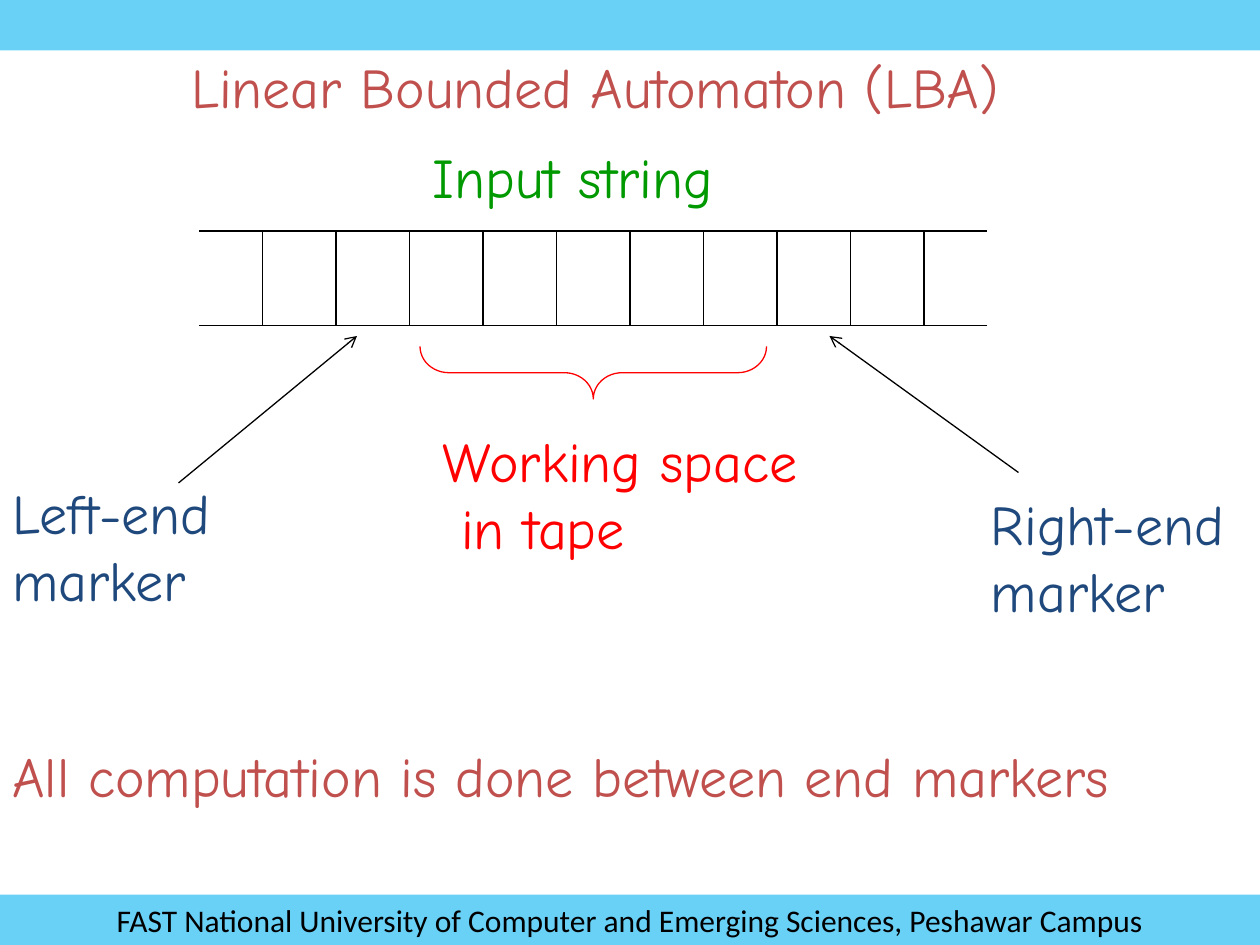
"""Build the slide that explains the tape of a linear bounded automaton."""
from dataclasses import dataclass

from lxml import etree
from pptx import Presentation
from pptx.dml.color import RGBColor
from pptx.enum.shapes import MSO_CONNECTOR, MSO_SHAPE
from pptx.enum.text import MSO_ANCHOR, PP_ALIGN
from pptx.oxml.ns import qn
from pptx.util import Inches, Length, Pt

STRAIGHT = MSO_CONNECTOR.STRAIGHT
RECTANGLE = MSO_SHAPE.RECTANGLE
RIGHT_BRACE = MSO_SHAPE.RIGHT_BRACE
TOP, MIDDLE = MSO_ANCHOR.TOP, MSO_ANCHOR.MIDDLE
LEFT, CENTER = PP_ALIGN.LEFT, PP_ALIGN.CENTER

BLACK = RGBColor(0x00, 0x00, 0x00)
SKY = RGBColor(0x00, 0xB0, 0xF0)
NAVY = RGBColor(0x1F, 0x49, 0x7D)
GREEN = RGBColor(0x00, 0x99, 0x00)
RED = RGBColor(0xFF, 0x00, 0x00)
BRICK = RGBColor(0xC0, 0x50, 0x4D)

COLUMNS, ROWS = 120, 90
BAND_ROWS = 4.8
TAPE_LEFT, TAPE_RIGHT, TAPE_TOP, TAPE_BOTTOM = 19, 94, 22, 31
FIRST_DIVIDER, CELL_COLUMNS, DIVIDERS = 25, 7, 10
THIN = Pt(0.75)


@dataclass(frozen=True)
class Area:
    """A rectangle in grid columns and rows."""

    column: float
    row: float
    columns: float
    rows: float

    def lengths(self) -> tuple[Length, ...]:
        """Return left, top, width and height."""
        return tuple(map(grid, (self.column, self.row, self.columns, self.rows)))


@dataclass(frozen=True)
class Label:
    """A coloured caption, one paragraph per line."""

    area: Area
    lines: tuple[str, ...]
    color: RGBColor
    last_indent: float = 0


@dataclass(frozen=True)
class Stroke:
    """A straight line between two grid points."""

    start: tuple[float, float]
    end: tuple[float, float]
    arrow: bool = False


TITLE = Label(Area(17, 4.4, 84.7, 7.6), ("Linear Bounded Automaton (LBA)",), BRICK)
LABELS = (
    Label(Area(0, 45, 24.6, 15.2), ("Left-end", "marker"), NAVY),
    Label(Area(40, 13, 32.6, 7.6), ("Input string",), GREEN),
    Label(Area(93.2, 46, 26.8, 15.2), ("Right-end", "marker"), NAVY),
    Label(Area(41, 40, 38.8, 15.2), ("Working space", "in tape"), RED, 1.75),
    Label(Area(0, 70, 115, 7.6), ("All computation is done between end markers",), BRICK),
)
MARKER_ARROWS = (
    Stroke((17, 46), (34, 32), arrow=True),
    Stroke((97, 45), (79, 32), arrow=True),
)


def grid(units: float) -> Length:
    """Turn grid units into a length; columns and rows are equally wide."""
    return Inches(10 / COLUMNS * units)


def write_text(shape, lines: tuple[str, ...], *, color: RGBColor, font="Comic Neue",
               size=32, align=LEFT, anchor=TOP, last_indent=0.0) -> None:
    """Fill a shape with formatted paragraphs."""
    frame = shape.text_frame
    frame.text = "\n".join(lines)
    frame.word_wrap = True
    frame.vertical_anchor = anchor
    for para in frame.paragraphs:
        para.alignment = align
        para.font.name = font
        para.font.size = Pt(size)
        para.font.color.rgb = color
    if last_indent:
        frame.paragraphs[-1]._p.get_or_add_pPr().set("marL", str(grid(last_indent)))


def add_label(page, label: Label) -> None:
    """Place a caption in a text box."""
    box = page.shapes.add_textbox(*label.area.lengths())
    write_text(box, label.lines, color=label.color, last_indent=label.last_indent)


def add_band(page, row: float):
    """Draw a translucent band across the slide."""
    band = page.shapes.add_shape(RECTANGLE, *Area(0, row, COLUMNS, BAND_ROWS).lengths())
    band.shadow.inherit = False
    band.line.fill.background()
    band.fill.solid()
    band.fill.fore_color.rgb = SKY
    color = band._element.spPr.find(qn("a:solidFill"))[0]
    etree.SubElement(color, qn("a:alpha"), val="59000")
    return band


def add_stroke(page, stroke: Stroke) -> None:
    """Draw a thin black line, with an open arrowhead if wanted."""
    line = page.shapes.add_connector(STRAIGHT, *map(grid, stroke.start + stroke.end))
    line.line.color.rgb = BLACK
    line.line.width = THIN
    if stroke.arrow:
        etree.SubElement(line.line._get_or_add_ln(), qn("a:tailEnd"), type="arrow")
    etree.SubElement(line._element.spPr, qn("a:effectLst"))


def add_tape(page) -> None:
    """Draw the two tape edges and the cell dividers."""
    for row in (TAPE_TOP, TAPE_BOTTOM):
        add_stroke(page, Stroke((TAPE_LEFT, row), (TAPE_RIGHT, row)))
    for index in range(DIVIDERS):
        column = FIRST_DIVIDER + index * CELL_COLUMNS
        add_stroke(page, Stroke((column, TAPE_TOP), (column, TAPE_BOTTOM)))


def add_brace(page) -> None:
    """Draw the brace under the working space."""
    brace = page.shapes.add_shape(RIGHT_BRACE, *Area(54, 19, 5, 33).lengths())
    brace.rotation = 90
    brace.adjustments[0] = 0.55
    brace.shadow.inherit = False
    brace.fill.background()
    brace.line.color.rgb = RED
    brace.line.width = THIN


def main() -> None:
    """Build and save the deck."""
    deck = Presentation()
    deck.slide_width, deck.slide_height = grid(COLUMNS), grid(ROWS)
    page = deck.slides.add_slide(deck.slide_layouts.get_by_name("Title Only"))
    title = page.shapes.title
    title.left, title.top, title.width, title.height = TITLE.area.lengths()
    write_text(title, TITLE.lines, color=TITLE.color)
    add_band(page, 0)
    footer = add_band(page, ROWS - BAND_ROWS)
    write_text(footer,
               ("FAST National University of Computer and Emerging Sciences, Peshawar Campus",),
               color=BLACK, font="Calibri", size=18, align=CENTER, anchor=MIDDLE)
    add_tape(page)
    for arrow in MARKER_ARROWS:
        add_stroke(page, arrow)
    for label in LABELS:
        add_label(page, label)
    add_brace(page)
    deck.save("out.pptx")


if __name__ == "__main__":
    main()
